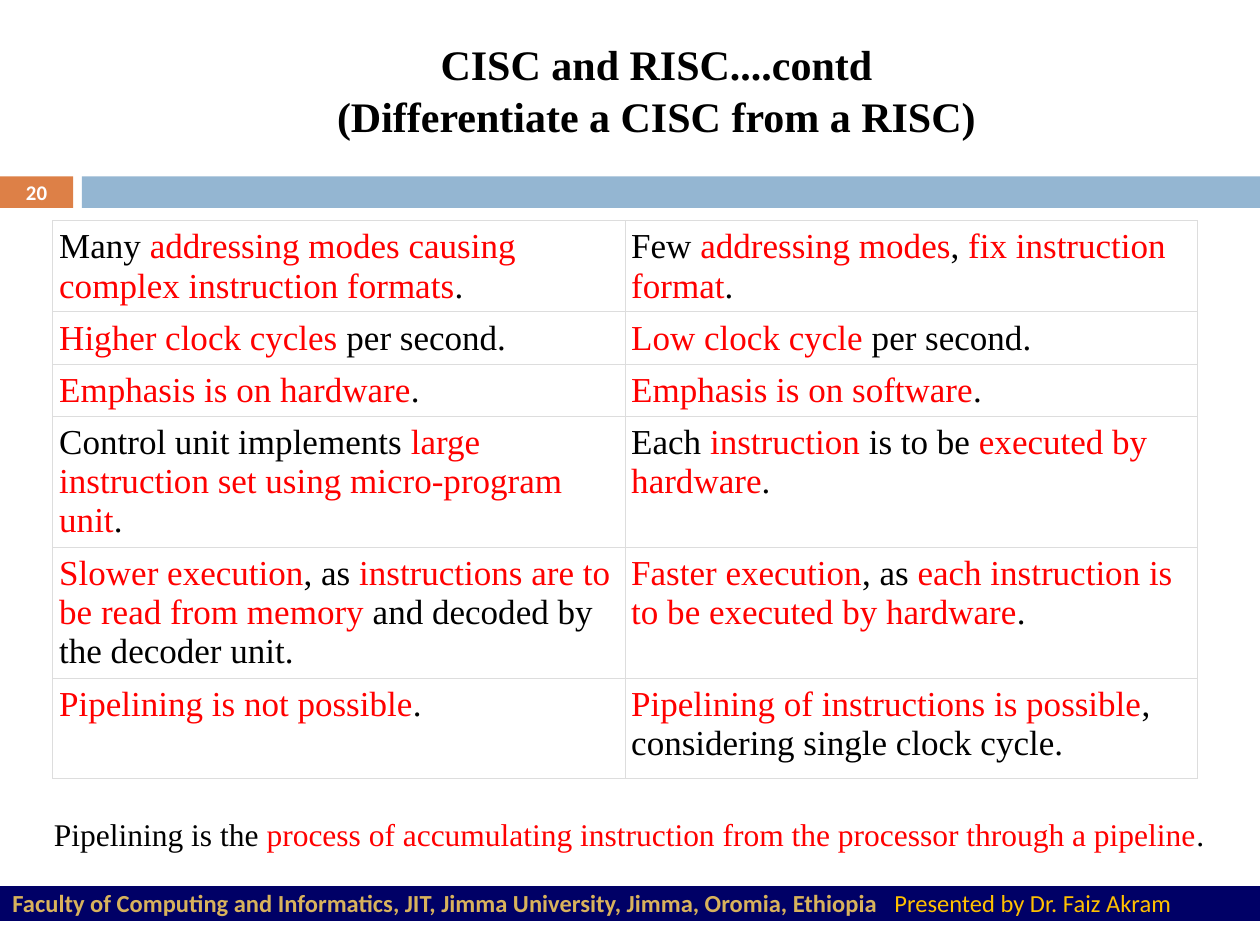
from lxml import etree
from pptx import Presentation
from pptx import util as u
from pptx.dml.color import RGBColor
from pptx.enum import shapes, text
from pptx.oxml import ns

BLACK, RED = "000000", "FF0000"
SERIF, SANS = "Times New Roman", "Calibri"

TITLE = ["CISC and RISC....contd", "(Differentiate a CISC from a RISC)"]
BARS = [(0, 0.58, "DD8047"), (0.65, 9.35, "94B6D2")]
ROW_HEIGHTS = [0.72, 0.41, 0.41, 1.04, 1.04, 0.8]
COLUMN_WIDTH = 4.54
ROWS = [
    ([("Many ", BLACK), ("addressing modes causing complex instruction formats", RED), (".", BLACK)],
     [("Few ", BLACK), ("addressing modes", RED), (", ", BLACK),
      ("fix instruction format", RED), (".", BLACK)]),
    ([("Higher clock cycles", RED), (" per second.", BLACK)],
     [("Low clock cycle", RED), (" per second.", BLACK)]),
    ([("Emphasis is on hardware", RED), (".", BLACK)],
     [("Emphasis is on software", RED), (".", BLACK)]),
    ([("Control unit implements ", BLACK),
      ("large instruction set using micro-program unit", RED), (".", BLACK)],
     [("Each ", BLACK), ("instruction", RED), (" is to be ", BLACK),
      ("executed by hardware", RED), (".", BLACK)]),
    ([("Slower execution", RED), (", as", BLACK),
      (" instructions are to be read from memory", RED),
      (" and decoded by the decoder unit.", BLACK)],
     [("Faster execution", RED), (", as ", BLACK),
      ("each instruction is to be executed by hardware", RED), (".", BLACK)]),
    ([("Pipelining is not possible", RED), (".", BLACK)],
     [("Pipelining of instructions is possible", RED),
      (", considering single clock cycle.", BLACK)]),
]
NOTE = [("Pipelining is\u00a0the ".replace("\u00a0", " "), BLACK),
        ("process of accumulating instruction from the processor through a pipeline", RED),
        (".", BLACK)]
FOOTER = [("Faculty of Computing and Informatics, JIT, Jimma University, Jimma, Oromia, Ethiopia\t", "D8B25C"),
          ("Presented by Dr. Faiz Akram", "FFC000")]


def colour(value):
    return RGBColor.from_string(value)


def add_spans(para, spans, size, face, bold=False):
    for words, shade in spans:
        span = para.add_run()
        span.text = words
        span.font.size = u.Pt(size)
        span.font.name = face
        span.font.bold = bold
        span.font.color.rgb = colour(shade)


def add_text(page, place, spans, size, face, bold=False, anchor=text.MSO_ANCHOR.TOP):
    box = page.shapes.add_textbox(*map(u.Inches, place))
    box.text_frame.word_wrap = True
    box.text_frame.vertical_anchor = anchor
    para = box.text_frame.paragraphs[0]
    add_spans(para, spans, size, face, bold)
    return box, para


def set_borders(cell, shade, points):
    properties = cell._tc.get_or_add_tcPr()
    for side in ("a:lnL", "a:lnR", "a:lnT", "a:lnB"):
        line = etree.SubElement(properties, ns.qn(side), w=str(u.Pt(points)))
        fill = etree.SubElement(line, ns.qn("a:solidFill"))
        etree.SubElement(fill, ns.qn("a:srgbClr"), val=shade)


def add_title(page):
    title = page.shapes.title
    title.left, title.top, title.width, title.height = map(u.Inches, (1, 0.25, 8.42, 1.21))
    frame = title.text_frame
    frame.text = "\n".join(TITLE)
    frame.auto_size = text.MSO_AUTO_SIZE.NONE
    frame.vertical_anchor = text.MSO_ANCHOR.TOP
    for para in frame.paragraphs:
        para.alignment = text.PP_ALIGN.CENTER
        para.line_spacing = u.Pt(29.3)
        font = para.runs[0].font
        font.name, font.size, font.bold = SERIF, u.Pt(24), True
        font.color.rgb = colour(BLACK)


def add_bars(page):
    for left, width, shade in BARS:
        bar = page.shapes.add_shape(shapes.MSO_SHAPE.RECTANGLE, u.Inches(left), u.Inches(1.4),
                                    u.Inches(width), u.Inches(0.25))
        bar.shadow.inherit = False
        bar.fill.solid()
        bar.fill.fore_color.rgb = colour(shade)
        bar.line.fill.background()
    number, para = add_text(page, (0, 1.39, 0.58, 0.27), [("20", "FFFFFF")], 11.9, SANS, True,
                            text.MSO_ANCHOR.MIDDLE)
    number.text_frame.margin_top = number.text_frame.margin_bottom = 0
    para.alignment = text.PP_ALIGN.CENTER


def add_comparison(page):
    frame = page.shapes.add_table(len(ROWS), 2, u.Inches(0.42), u.Inches(1.75),
                                  u.Inches(2 * COLUMN_WIDTH), u.Inches(sum(ROW_HEIGHTS)))
    table = frame.table
    table.first_row = table.horz_banding = False
    for column in table.columns:
        column.width = u.Inches(COLUMN_WIDTH)
    for row, height, contents in zip(table.rows, ROW_HEIGHTS, ROWS):
        row.height = u.Inches(height)
        for cell, spans in zip(row.cells, contents):
            set_borders(cell, "DDDDDD", 0.6)
            cell.fill.background()
            cell.margin_left = cell.margin_right = u.Inches(0.05)
            cell.margin_top = cell.margin_bottom = u.Inches(0.05)
            para = cell.text_frame.paragraphs[0]
            para.line_spacing = u.Pt(22.5)
            add_spans(para, spans, 20, SERIF)


def add_footer(page):
    band = page.shapes.add_connector(shapes.MSO_CONNECTOR.STRAIGHT, 0, u.Inches(7.17),
                                     u.Inches(10), u.Inches(7.17))
    band.line.color.rgb = colour("000066")
    band.line.width = u.Pt(20)
    etree.SubElement(band._element.spPr, ns.qn("a:effectLst"))
    box, para = add_text(page, (0, 7.06, 9.58, 0.21), [], 14, SANS,
                         anchor=text.MSO_ANCHOR.MIDDLE)
    box.text_frame.margin_top = box.text_frame.margin_bottom = 0
    tabs = etree.SubElement(para._p.get_or_add_pPr(), ns.qn("a:tabLst"))
    etree.SubElement(tabs, ns.qn("a:tab"), pos=str(u.Inches(7)), algn="l")
    add_spans(para, FOOTER, 14, SANS)
    para.runs[0].font.bold = True


def main():
    deck = Presentation()
    deck.slide_width, deck.slide_height = u.Inches(10), u.Inches(7.5)
    page = deck.slides.add_slide(deck.slide_layouts.get_by_name("Title Only"))
    add_bars(page)
    add_footer(page)
    add_comparison(page)
    add_title(page)
    add_text(page, (0.33, 6.42, 9.42, 0.4), NOTE, 18, SERIF)
    deck.save("out.pptx")


if __name__ == "__main__":
    main()
